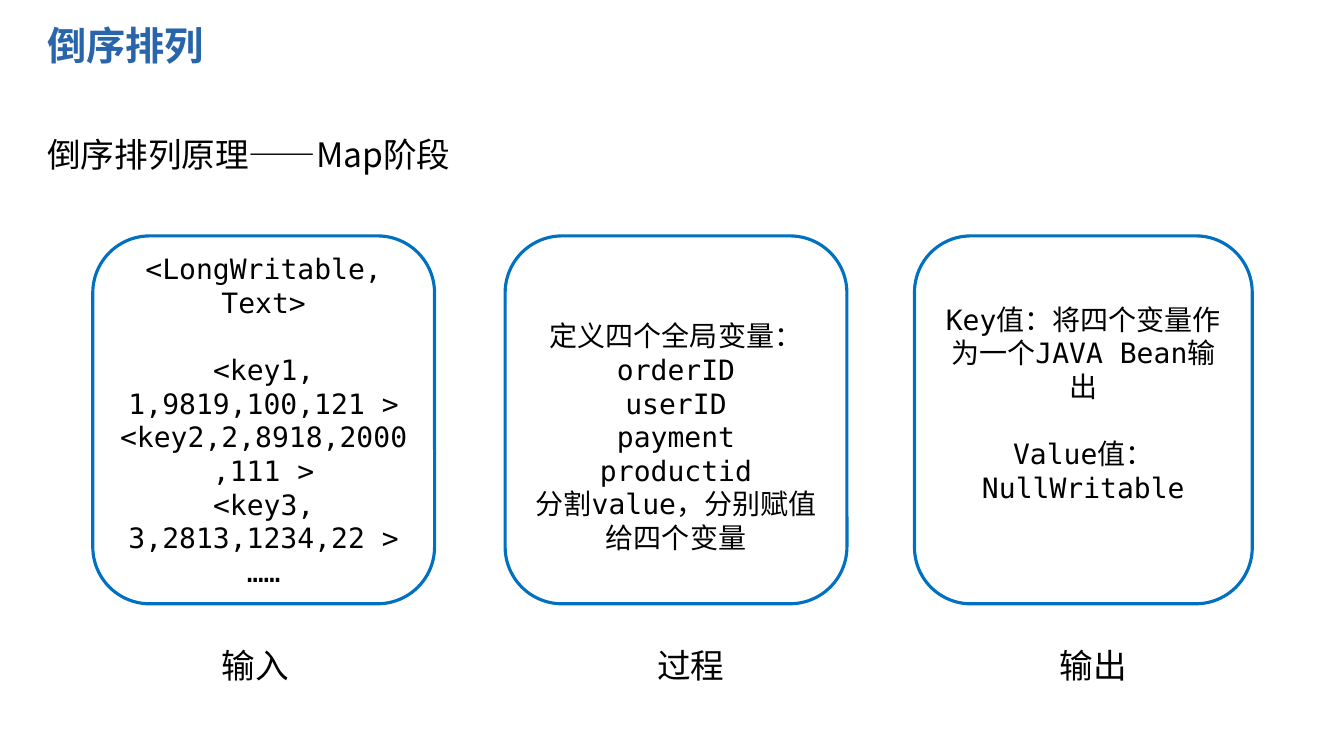
import pptx
import pptx.dml.color
import pptx.enum.shapes
import pptx.enum.text
import pptx.util
from lxml import etree
from pptx.util import Inches

COLORS = {"title": "2965AB", "border": "0070C0", "text": "000000"}
SANS = "Noto Sans CJK SC"
MONO = "DejaVu Sans Mono"
ALIGN = pptx.enum.text.PP_ALIGN
ANCHOR = pptx.enum.text.MSO_ANCHOR


def rgb(name):
    return pptx.dml.color.RGBColor.from_string(COLORS[name])


class SlideBuilder:
    def __init__(self, page):
        self.page = page

    def format_text(self, para, size, font=SANS, color="text", bold=False):
        for span in para.runs:
            span.font.size = pptx.util.Pt(size)
            span.font.name = font
            span.font.bold = bold
            span.font.color.rgb = rgb(color)
            east_asian = etree.SubElement(span.font._element, pptx.oxml.ns.qn("a:ea"))
            east_asian.set("typeface", font)

    def title(self, text, left, top, width, height):
        box = self.page.shapes.title
        box.left, box.top = Inches(left), Inches(top)
        box.width, box.height = Inches(width), Inches(height)
        frame = box.text_frame
        frame.text = text
        frame.auto_size = pptx.enum.text.MSO_AUTO_SIZE.NONE
        frame.vertical_anchor = ANCHOR.TOP
        para = frame.paragraphs[0]
        para.alignment = ALIGN.LEFT
        para.line_spacing = 0.9
        self.format_text(para, 28, color="title", bold=True)

    def label(self, text, left, top, width, height):
        box = self.page.shapes.add_textbox(
            Inches(left), Inches(top), Inches(width), Inches(height))
        frame = box.text_frame
        frame.text = text
        frame.word_wrap = True
        self.format_text(frame.paragraphs[0], 24)

    def card(self, lines, left, top, width, height, gaps, inset_top, inset_bottom):
        box = self.page.shapes.add_shape(
            pptx.enum.shapes.MSO_SHAPE.ROUNDED_RECTANGLE,
            Inches(left), Inches(top), Inches(width), Inches(height))
        box.shadow.inherit = False
        box.fill.background()
        box.line.color.rgb = rgb("border")
        box.line.width = pptx.util.Pt(2.25)
        frame = box.text_frame
        frame.text = "\n".join(lines)
        frame.word_wrap = True
        frame.vertical_anchor = ANCHOR.MIDDLE
        frame.margin_top = Inches(inset_top)
        frame.margin_bottom = Inches(inset_bottom)
        for index, para in enumerate(frame.paragraphs):
            para.alignment = ALIGN.CENTER
            if index in gaps:
                para.space_before = pptx.util.Pt(24)
            self.format_text(para, 20, MONO)


STAGES = [
    ("输入", 2.1, 0.92, 3.39, [1], 0.05, 0.05, [
        "<LongWritable, Text>",
        "<key1, 1,9819,100,121 >",
        "<key2,2,8918,2000,111 >",
        "<key3, 3,2813,1234,22 >",
        "……",
    ]),
    ("过程", 6.42, 5.01, 3.39, [], 0.38, 0.05, [
        "定义四个全局变量：",
        "orderID",
        "userID",
        "payment",
        "productid",
        "分割value，分别赋值给四个变量",
    ]),
    ("输出", 10.41, 9.07, 3.35, [1], 0.05, 0.38, [
        "Key值：将四个变量作为一个JAVA Bean输出",
        "Value值：NullWritable",
    ]),
]


def main():
    deck = pptx.Presentation()
    deck.slide_width, deck.slide_height = Inches(13.33), Inches(7.5)
    builder = SlideBuilder(deck.slides.add_slide(deck.slide_layouts[5]))
    builder.title("倒序排列", 0.37, 0.21, 5.32, 0.58)
    builder.label("倒序排列原理——Map阶段", 0.37, 1.28, 12.28, 0.5)
    for name, name_left, left, width, gaps, inset_top, inset_bottom, lines in STAGES:
        builder.card(lines, left, 2.34, width, 3.65, gaps, inset_top, inset_bottom)
        builder.label(name, name_left, 6.35, 0.88, 0.5)
    deck.save("out.pptx")


if __name__ == "__main__":
    main()
